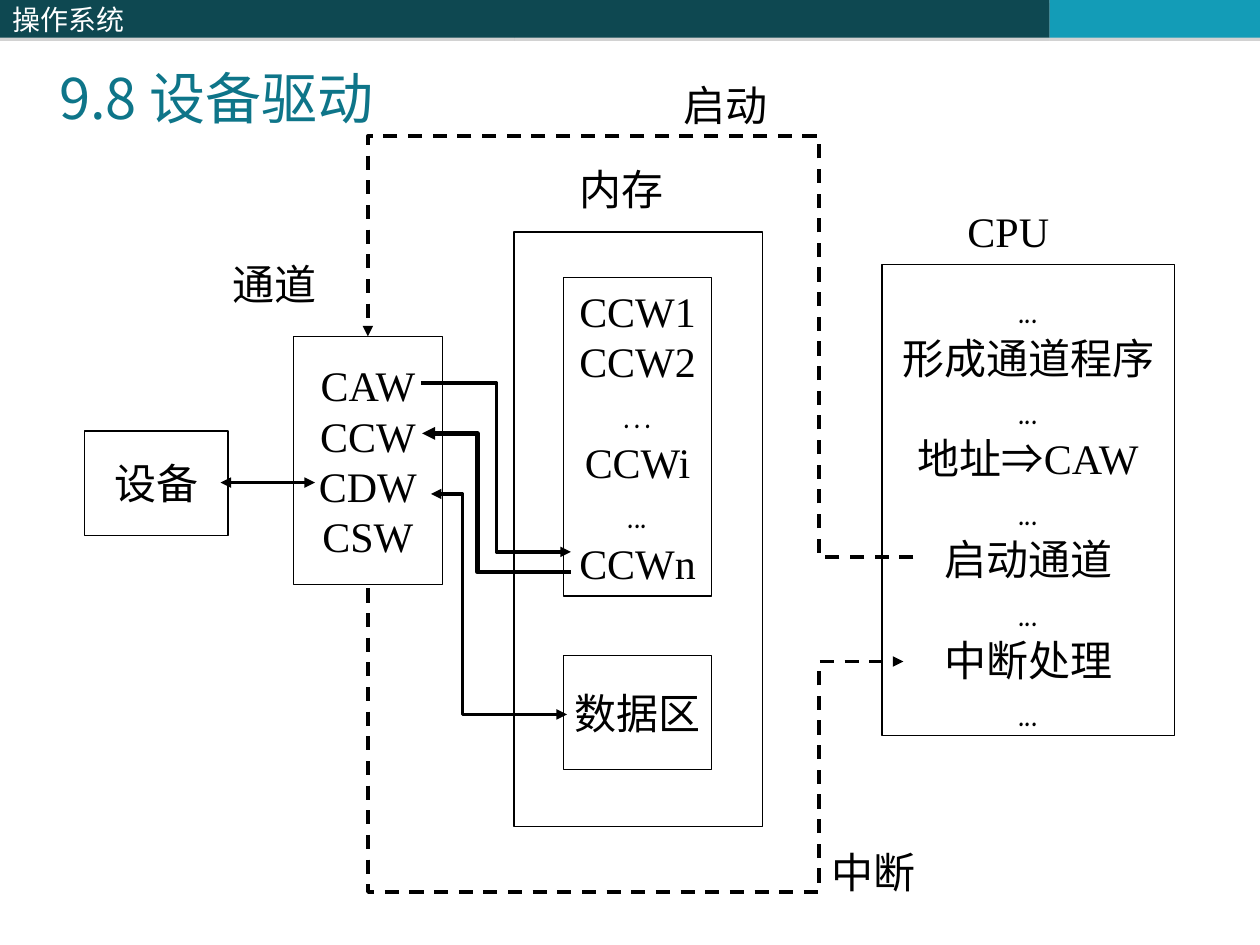
from lxml.etree import SubElement
from pptx import Presentation
from pptx.dml.color import RGBColor
from pptx.enum.dml import MSO_LINE
from pptx.enum.shapes import MSO_CONNECTOR, MSO_SHAPE
from pptx.enum.text import MSO_ANCHOR, MSO_AUTO_SIZE, PP_ALIGN
from pptx.oxml.ns import qn
from pptx.util import Inches, Pt

COLORS = {
    "ink": "000000",
    "paper": "FFFFFF",
    "dark": "0E4851",
    "bright": "139CB7",
    "title": "0E7589",
    "shade": "808080",
}
SERIF, SANS, DOTS, SIGN = "Times New Roman", "Noto Sans CJK SC", "Comic Neue", "Arial"
PITCH = 28.8


def color(name):
    return RGBColor.from_string(COLORS[name])


def style(font, size, face, tint):
    font.size = Pt(size)
    font.name = face
    font.color.rgb = color(tint)


def add_rect(shapes, box, fill="paper", line="ink"):
    rect = shapes.add_shape(MSO_SHAPE.RECTANGLE, *map(Inches, box))
    rect.shadow.inherit = False
    rect.fill.solid()
    rect.fill.fore_color.rgb = color(fill)
    if line:
        rect.line.color.rgb = color(line)
        rect.line.width = Pt(0.75)
    else:
        rect.line.fill.background()
    return rect


def add_stack(shapes, box, lines, drop=0.05):
    rect = add_rect(shapes, box)
    frame = rect.text_frame
    frame.word_wrap = False
    frame.vertical_anchor = MSO_ANCHOR.MIDDLE
    frame.margin_top = Inches(drop)
    for i, line in enumerate(lines):
        para = frame.paragraphs[0] if i == 0 else frame.add_paragraph()
        para.alignment = PP_ALIGN.CENTER
        if len(lines) > 1:
            para.line_spacing = Pt(PITCH)
        if isinstance(line, str):
            para.text = line
            style(para.font, 24, DOTS if line in ("...", "…") else SERIF, "ink")
        else:
            for text, face in line:
                run = para.add_run()
                run.text = text
                style(run.font, 24, face, "ink")
    return rect


def add_label(slide, box, text):
    label = slide.shapes.add_textbox(*map(Inches, box))
    frame = label.text_frame
    frame.word_wrap = True
    para = frame.paragraphs[0]
    para.text = text
    style(para.font, 24, SERIF, "ink")


def add_heads(line, ends):
    ln = line.line._get_or_add_ln()
    for end in ends:
        SubElement(ln, qn(f"a:{end}"), type="triangle")


def add_route(slide, points, ends, width=2, dash=False):
    first, *rest = [(Inches(x), Inches(y)) for x, y in points]
    pen = slide.shapes.build_freeform(*first)
    pen.add_line_segments(rest, close=False)
    route = pen.convert_to_shape()
    route.shadow.inherit = False
    route.fill.background()
    route.line.color.rgb = color("ink")
    route.line.width = Pt(width)
    if dash:
        route.line.dash_style = MSO_LINE.DASH
    add_heads(route, ends)


def add_banner(slide, box):
    left, top, width, height = box
    parts = [(0.408, "dark"), (0.425, "dark"), (0.167, "bright")]
    for i, (share, fill) in enumerate(parts):
        bar = add_rect(slide.shapes, (left, top, width * share, height), fill, None)
        left += width * share
        effect = bar._element.spPr.find(qn("a:effectLst"))
        shadow = SubElement(effect, qn("a:outerShdw"), dist=str(Pt(1.8)),
                            dir="5400000", algn="ctr", rotWithShape="0")
        tint = SubElement(shadow, qn("a:srgbClr"), val=COLORS["shade"])
        SubElement(tint, qn("a:alpha"), val="35000")
        if i == 0:
            frame = bar.text_frame
            frame.vertical_anchor = MSO_ANCHOR.MIDDLE
            para = frame.paragraphs[0]
            para.text = "操作系统"
            para.alignment = PP_ALIGN.LEFT
            style(para.font, 16, SANS, "paper")


def add_title(slide, box):
    title = slide.shapes.title
    title.left, title.top, title.width, title.height = map(Inches, box)
    frame = title.text_frame
    frame.word_wrap = True
    frame.auto_size = MSO_AUTO_SIZE.NONE
    frame.vertical_anchor = MSO_ANCHOR.TOP
    para = frame.paragraphs[0]
    para.text = "9.8 设备驱动"
    para.alignment = PP_ALIGN.LEFT
    style(para.font, 32, SANS, "title")


def add_store(slide, box):
    left, top, width, height = box
    group = slide.shapes.add_group_shape()
    add_rect(group.shapes, box)
    inner = left + 0.39
    add_stack(group.shapes, (inner, top + 0.36, 1.18, 2.53),
              ["CCW1", "CCW2", "…", "CCWi", "...", "CCWn"])
    add_stack(group.shapes, (inner, top + 3.36, 1.18, 0.91), ["数据区"])
    add_label(slide, (left + 0.42, top - 0.59, 0.92, 0.5), "内存")


def add_channel(slide, box):
    left, top, width, height = box
    add_stack(slide.shapes, box, ["CAW", "CCW", "CDW", "CSW"])
    add_label(slide, (left - 0.58, top - 0.67, 1, 0.5), "通道")


def add_cpu(slide, box):
    left, top, width, height = box
    address = [("地址", SERIF), ("⇒", SIGN), ("CAW", SERIF)]
    steps = ["形成通道程序", address, "启动通道", "中断处理"]
    lines = ["..."]
    for step in steps:
        lines += [step, "..."]
    add_stack(slide.shapes, box, lines, drop=0.18)
    add_label(slide, (left + 0.58, top - 0.52, 1.08, 0.5), "CPU")


def add_wires(slide):
    link = slide.shapes.add_connector(
        MSO_CONNECTOR.STRAIGHT, *map(Inches, (1.75, 3.83, 2.5, 3.83)))
    link.line.color.rgb = color("ink")
    link.line.width = Pt(2)
    add_heads(link, ["headEnd", "tailEnd"])
    SubElement(link._element.spPr, qn("a:effectLst"))

    add_route(slide, [(3.34, 3.04), (3.94, 3.04), (3.94, 4.38), (4.53, 4.38)], ["tailEnd"])
    add_route(slide, [(3.42, 3.92), (3.67, 3.92), (3.67, 5.67), (4.5, 5.67)],
              ["headEnd", "tailEnd"])
    add_route(slide, [(7.25, 4.42), (6.5, 4.42), (6.5, 1.08), (2.92, 1.08), (2.92, 2.67)],
              ["tailEnd"], dash=True)
    add_route(slide, [(2.92, 4.67), (2.92, 7.08), (6.5, 7.08), (6.5, 5.25), (7.17, 5.25)],
              ["tailEnd"], dash=True)
    add_route(slide, [(4.53, 4.54), (3.79, 4.54), (3.79, 3.44), (3.35, 3.44)],
              ["tailEnd"], width=2.5)
    add_label(slide, (5.33, 0.58, 1.08, 0.5), "启动")
    add_label(slide, (6.5, 6.67, 1.08, 0.5), "中断")


def main():
    deck = Presentation()
    deck.slide_width, deck.slide_height = Inches(10), Inches(7.5)
    slide = deck.slides.add_slide(deck.slide_layouts[5])
    add_banner(slide, (0, 0, 10, 0.3))
    add_title(slide, (0.37, 0.45, 8.75, 0.64))
    add_stack(slide.shapes, (0.67, 3.42, 1.14, 0.83), ["设备"])
    add_channel(slide, (2.33, 2.67, 1.18, 1.97))
    add_store(slide, (4.08, 1.84, 1.97, 4.72))
    add_cpu(slide, (7, 2.1, 2.32, 3.74))
    add_wires(slide)
    deck.save("out.pptx")


if __name__ == "__main__":
    main()
